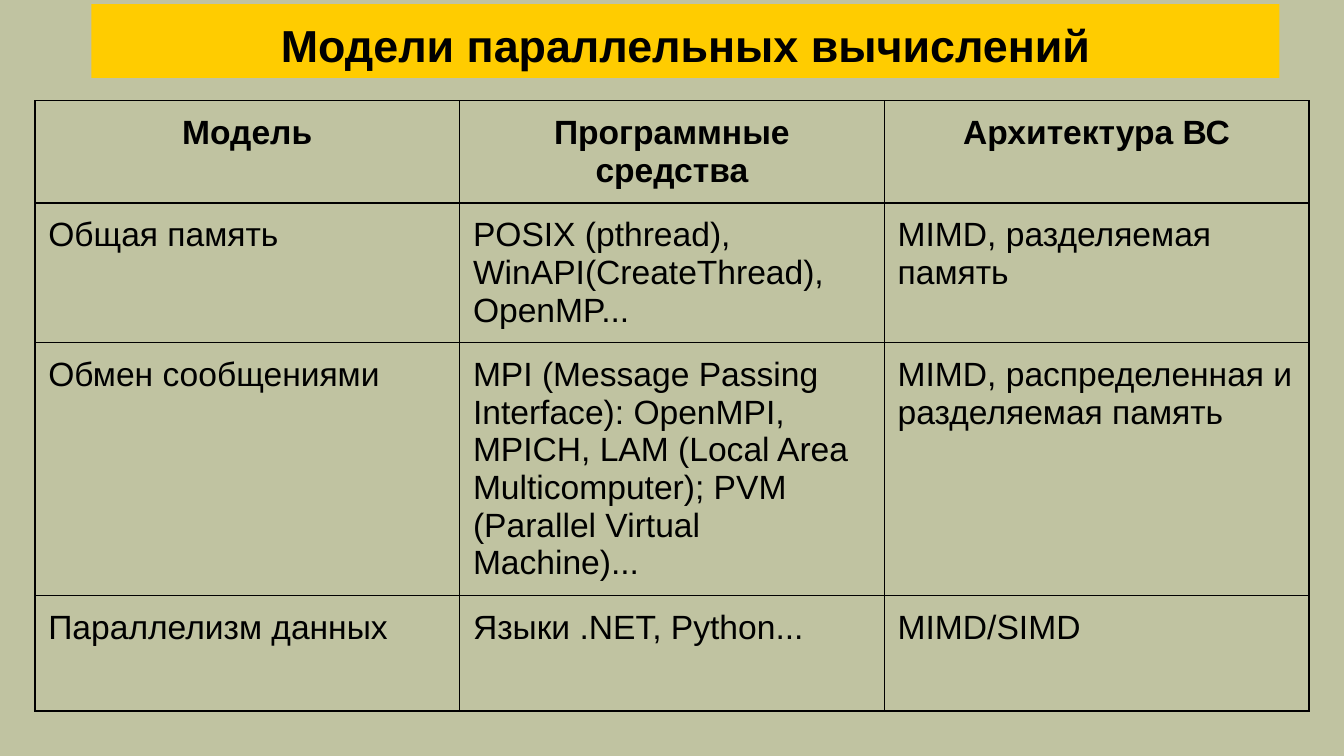
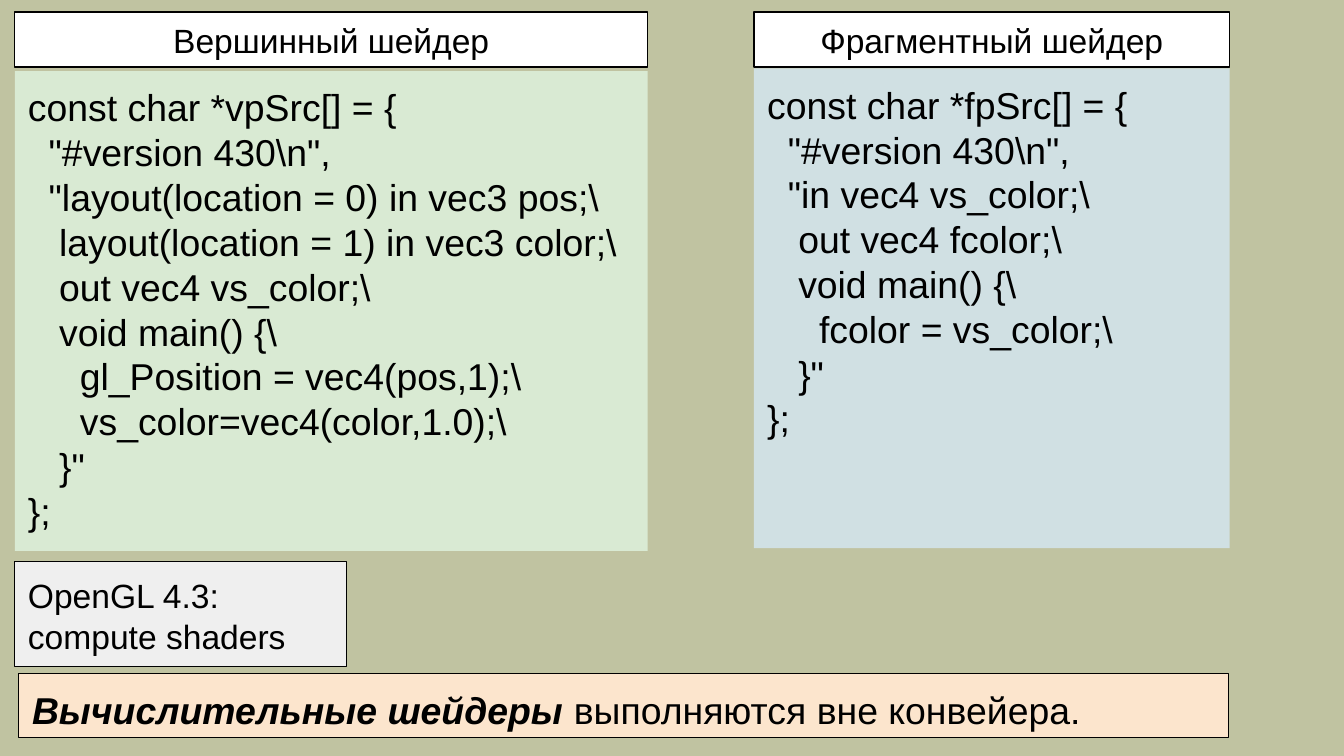
from lxml.etree import SubElement
from pptx import Presentation
from pptx.dml.color import RGBColor
from pptx.enum.shapes import MSO_SHAPE
from pptx.enum.text import MSO_ANCHOR, MSO_AUTO_SIZE, PP_ALIGN
from pptx.oxml.ns import qn
from pptx.util import Inches, Pt

# Shared look: a 16:9 slide on a grid of 100 columns with square cells
SLIDE_WIDTH = Inches(10)
SLIDE_HEIGHT = SLIDE_WIDTH * 9 // 16
GRID = SLIDE_WIDTH / 100
MARGIN = 1
FONT = "Arial"
BLACK, WHITE = "000000", "FFFFFF"
PAGE_FILL, TITLE_FILL = "C0C3A1", "FFCC00"
VERTEX_FILL, FRAGMENT_FILL = "D9EAD3", "D0E0E3"
VERSION_FILL, REMARK_FILL = "EFEFEF", "FCE5CD"
LINE_WIDTH = Pt(0.75)
CODE_SIZE = 20
SPACE_WIDTH = 0.278  # width of a space as a share of the font size

MODEL_ROWS = [
    ["Модель", "Программные средства", "Архитектура ВС"],
    ["Общая память",
     "POSIX (pthread),\nWinAPI(CreateThread),\nOpenMP...",
     "MIMD, разделяемая\nпамять"],
    ["Обмен сообщениями",
     "MPI (Message Passing\nInterface): OpenMPI,\nMPICH, LAM (Local Area\n"
     "Multicomputer); PVM\n(Parallel Virtual Machine)...",
     "MIMD, распределенная и\nразделяемая память"],
    ["Параллелизм данных", "Языки .NET, Python...", "MIMD/SIMD"],
]
ROW_HEIGHTS = [7.5, 10.3, 18.7, 8.6]
COLUMN_WIDTH = 31.6

VERTEX_CODE = r'''const char *vpSrc[] = {
  "#version 430\n",
  "layout(location = 0) in vec3 pos;\
   layout(location = 1) in vec3 color;\
   out vec4 vs_color;\
   void main() {\
     gl_Position = vec4(pos,1);\
     vs_color=vec4(color,1.0);\
   }"
};'''

FRAGMENT_CODE = r'''const char *fpSrc[] = {
  "#version 430\n",
  "in vec4 vs_color;\
   out vec4 fcolor;\
   void main() {\
     fcolor = vs_color;\
   }"
};'''


def color(value):
    return RGBColor.from_string(value)


def cells(count):
    return round(count * GRID)


def place(left, top, width, height):
    return [cells(length) for length in (left, top, width, height)]


def set_margins(holder):
    """Give a text frame or table cell the same inset on every side."""
    holder.margin_left = holder.margin_right = cells(MARGIN)
    holder.margin_top = holder.margin_bottom = cells(MARGIN)


def format_paragraph(para, size, bold=False, align=PP_ALIGN.LEFT):
    para.alignment = align
    para.line_spacing = 1.0
    para.font.name = FONT
    para.font.size = Pt(size)
    para.font.bold = bold
    para.font.color.rgb = color(BLACK)


def write(frame, text, size, **style):
    """Write one paragraph a line; leading spaces become a left indent."""
    for index, line in enumerate(text.split("\n")):
        para = frame.add_paragraph() if index else frame.paragraphs[0]
        para.text = line.lstrip()
        format_paragraph(para, size, **style)
        depth = len(line) - len(para.text)
        if depth:
            indent = Pt(depth * SPACE_WIDTH * size)
            para._p.get_or_add_pPr().set("marL", str(indent))


def prepare_frame(frame, anchor=MSO_ANCHOR.TOP):
    set_margins(frame)
    frame.word_wrap = True
    frame.auto_size = MSO_AUTO_SIZE.NONE
    frame.vertical_anchor = anchor


def add_box(page, area, fill, outlined=True, anchor=MSO_ANCHOR.TOP):
    """Add a filled rectangle and return its text frame."""
    box = page.shapes.add_shape(MSO_SHAPE.RECTANGLE, *place(*area))
    box.shadow.inherit = False
    box.fill.solid()
    box.fill.fore_color.rgb = color(fill)
    if outlined:
        box.line.color.rgb = color(BLACK)
        box.line.width = LINE_WIDTH
    else:
        box.line.fill.background()
    prepare_frame(box.text_frame, anchor)
    return box.text_frame


def set_title(page, text):
    title = page.shapes.title
    title.left, title.top, title.width, title.height = place(6.8, 0.3, 88.4, 5.5)
    title.fill.solid()
    title.fill.fore_color.rgb = color(TITLE_FILL)
    prepare_frame(title.text_frame)
    write(title.text_frame, text, 24, bold=True, align=PP_ALIGN.CENTER)


def add_borders(cell):
    properties = cell._tc.get_or_add_tcPr()
    for index, side in enumerate(("lnL", "lnR", "lnT", "lnB")):
        line = properties.makeelement(qn(f"a:{side}"), {"w": str(LINE_WIDTH)})
        fill = SubElement(line, qn("a:solidFill"))
        SubElement(fill, qn("a:srgbClr"), val=BLACK)
        properties.insert(index, line)


def add_table(page, left, top, rows):
    columns = len(rows[0])
    area = place(left, top, COLUMN_WIDTH * columns, sum(ROW_HEIGHTS))
    table = page.shapes.add_table(len(rows), columns, *area).table
    table.first_row = table.horz_banding = False
    for column in table.columns:
        column.width = cells(COLUMN_WIDTH)
    for row_index, texts in enumerate(rows):
        table.rows[row_index].height = cells(ROW_HEIGHTS[row_index])
        header = row_index == 0
        for column_index, text in enumerate(texts):
            cell = table.cell(row_index, column_index)
            cell.fill.background()
            set_margins(cell)
            add_borders(cell)
            write(cell.text_frame, text, 18, bold=header,
                  align=PP_ALIGN.CENTER if header else PP_ALIGN.LEFT)


def add_shader(page, left, width, code_top, heading, code, fill):
    """Add a code panel with its heading above."""
    panel = add_box(page, (left, code_top, width, 35.7), fill, outlined=False)
    write(panel, code, CODE_SIZE)
    caption = add_box(page, (left, 0.9, width, 4.1), WHITE,
                      anchor=MSO_ANCHOR.MIDDLE)
    write(caption, heading, 18, align=PP_ALIGN.CENTER)


def add_remark(page, term, rest):
    """Add the closing sentence, led by an emphasised term."""
    frame = add_box(page, (1.4, 50.1, 90, 4.8), REMARK_FILL)
    para = frame.paragraphs[0]
    format_paragraph(para, 20)
    span = para.add_run()
    span.text = term
    span.font.bold = span.font.italic = True
    para.add_run().text = rest


def build_models_page(deck):
    page = deck.slides.add_slide(deck.slide_layouts.get_by_name("Title Only"))
    set_title(page, "Модели параллельных вычислений")
    add_table(page, 2.6, 7.5, MODEL_ROWS)


def build_shaders_page(deck):
    page = deck.slides.add_slide(deck.slide_layouts.get_by_name("Blank"))
    add_shader(page, 1.1, 47.1, 5.3, "Вершинный шейдер", VERTEX_CODE, VERTEX_FILL)
    add_shader(page, 56.1, 35.4, 5.1, "Фрагментный шейдер", FRAGMENT_CODE,
               FRAGMENT_FILL)
    version = add_box(page, (1.1, 41.8, 24.7, 7.8), VERSION_FILL)
    write(version, "OpenGL 4.3:\ncompute shaders", 18)
    add_remark(page, "Вычислительные шейдеры ", "выполняются вне конвейера.")


def main():
    deck = Presentation()
    deck.slide_width, deck.slide_height = SLIDE_WIDTH, SLIDE_HEIGHT
    backdrop = deck.slide_master.background.fill
    backdrop.solid()
    backdrop.fore_color.rgb = color(PAGE_FILL)
    build_models_page(deck)
    build_shaders_page(deck)
    deck.save("out.pptx")


if __name__ == "__main__":
    main()
